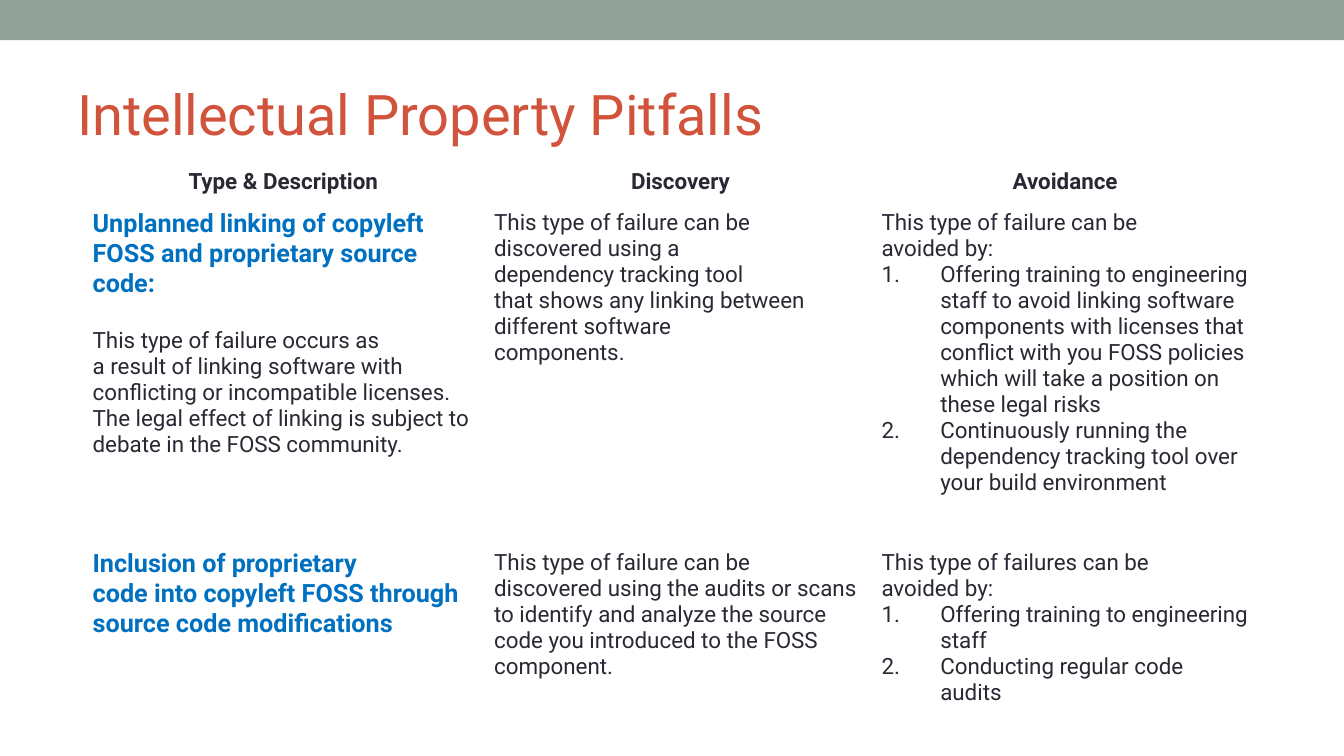
import pptx
import pptx.util
import pptx.dml.color
import pptx.enum.shapes
import pptx.enum.text
import pptx.oxml
import pptx.oxml.ns

Pt = pptx.util.Pt
ALIGN = pptx.enum.text.PP_ALIGN
ANCHOR = pptx.enum.text.MSO_ANCHOR
FONT = "Roboto"
INK = "292934"
BLUE = "0070C0"


def color(code):
    return pptx.dml.color.RGBColor.from_string(code)


def style(par, size, code, bold=False):
    """Format every run of a paragraph."""
    for run in par.runs:
        run.font.name = FONT
        run.font.size = Pt(size)
        run.font.bold = bold
        run.font.color.rgb = color(code)


# kind: size, colour, bold, alignment, left margin, first-line indent
KINDS = {
    "head": (16, INK, True, ALIGN.CENTER, 27, -27),
    "last": (16, INK, True, ALIGN.CENTER, 42, -42),
    "name": (18, BLUE, True, ALIGN.LEFT, 0, 0),
    "text": (16, INK, False, ALIGN.LEFT, 0, 0),
    "next": (16, INK, False, ALIGN.LEFT, 0, 0),
    "lead": (16, INK, False, ALIGN.LEFT, 42, -42),
    "item": (16, INK, False, ALIGN.LEFT, 42, -42),
}

ROWS = [
    [
        [("head", "Type & Description")],
        [("head", " Discovery")],
        [("last", "Avoidance")],
    ],
    [
        [
            ("name", "Unplanned linking of copyleft FOSS and proprietary source code:"),
            ("next", "This type of failure occurs as"),
            ("text", "a result of linking software with conflicting or incompatible "
                     "licenses. The legal effect of linking is subject to debate in "
                     "the FOSS community."),
        ],
        [
            ("text", "This type of failure can be"),
            ("text", "discovered using a"),
            ("text", "dependency tracking tool"),
            ("text", "that shows any linking between"),
            ("text", "different software"),
            ("text", "components."),
        ],
        [
            ("lead", "This type of failure can be"),
            ("lead", "avoided by:"),
            ("item", "Offering training to engineering staff to avoid linking software "
                     "components with licenses that conflict with you FOSS policies "
                     "which will take a position on these legal risks"),
            ("item", "Continuously running the dependency tracking tool over your "
                     "build environment"),
        ],
    ],
    [
        [
            ("name", "Inclusion of proprietary"),
            ("name", "code into copyleft FOSS through"),
            ("name", "source code modifications"),
        ],
        [
            ("text", "This type of failure can be"),
            ("text", "discovered using the audits or scans to identify and analyze the "
                     "source code you introduced to the FOSS component."),
        ],
        [
            ("lead", "This type of failures can be"),
            ("lead", "avoided by:"),
            ("item", "Offering training to engineering staff"),
            ("item", "Conducting regular code audits"),
        ],
    ],
]

deck = pptx.Presentation()
deck.slide_width = Pt(960)
deck.slide_height = Pt(540)
slide = deck.slides.add_slide(deck.slide_layouts[6])

band = slide.shapes.add_shape(
    pptx.enum.shapes.MSO_SHAPE.RECTANGLE, 0, 0, Pt(960), Pt(28.8))
band.shadow.inherit = False
band.fill.solid()
band.fill.fore_color.rgb = color("93A299")
band.line.fill.background()

title = slide.shapes.add_textbox(Pt(48), Pt(42), Pt(864), Pt(78))
frame = title.text_frame
frame.word_wrap = True
frame.vertical_anchor = ANCHOR.MIDDLE
frame.text = "Intellectual Property Pitfalls"
style(frame.paragraphs[0], 40, "D2533C")

widths = [286.8, 276.7, 276.7]
heights = [29.3, 242.9, 135.6]
table = slide.shapes.add_table(
    3, 3, Pt(59), Pt(116.8), Pt(sum(widths)), Pt(sum(heights))).table
for col, width in zip(table.columns, widths):
    col.width = Pt(width)
for row, height in zip(table.rows, heights):
    row.height = Pt(height)

NS = pptx.oxml.ns.nsdecls("a")
for r, row in enumerate(ROWS):
    for c, lines in enumerate(row):
        cell = table.cell(r, c)
        cell.fill.solid()
        cell.fill.fore_color.rgb = color("FFFFFF")
        props = cell._tc.get_or_add_tcPr()
        for i, side in enumerate("LRTB"):
            props.insert(i, pptx.oxml.parse_xml(
                f'<a:ln{side} {NS} w="762"><a:solidFill><a:srgbClr val="FFFFFF"/>'
                f'</a:solidFill></a:ln{side}>'))

        cell.text_frame.text = "\n".join(text for _, text in lines)
        for par, (kind, _) in zip(cell.text_frame.paragraphs, lines):
            size, code, bold, align, left, indent = KINDS[kind]
            style(par, size, code, bold)
            par.alignment = align
            if kind == "next":
                par.space_before = Pt(21)
            ppr = par._p.get_or_add_pPr()
            ppr.set("marL", str(Pt(left)))
            ppr.set("indent", str(Pt(indent)))
            if kind == "item":
                ppr.append(pptx.oxml.parse_xml(
                    f'<a:buClr {NS}><a:srgbClr val="{INK}"/></a:buClr>'))
                ppr.append(pptx.oxml.parse_xml(
                    f'<a:buFont {NS} typeface="+mj-lt"/>'))
                ppr.append(pptx.oxml.parse_xml(
                    f'<a:buAutoNum {NS} type="arabicPeriod"/>'))

deck.save("out.pptx")
